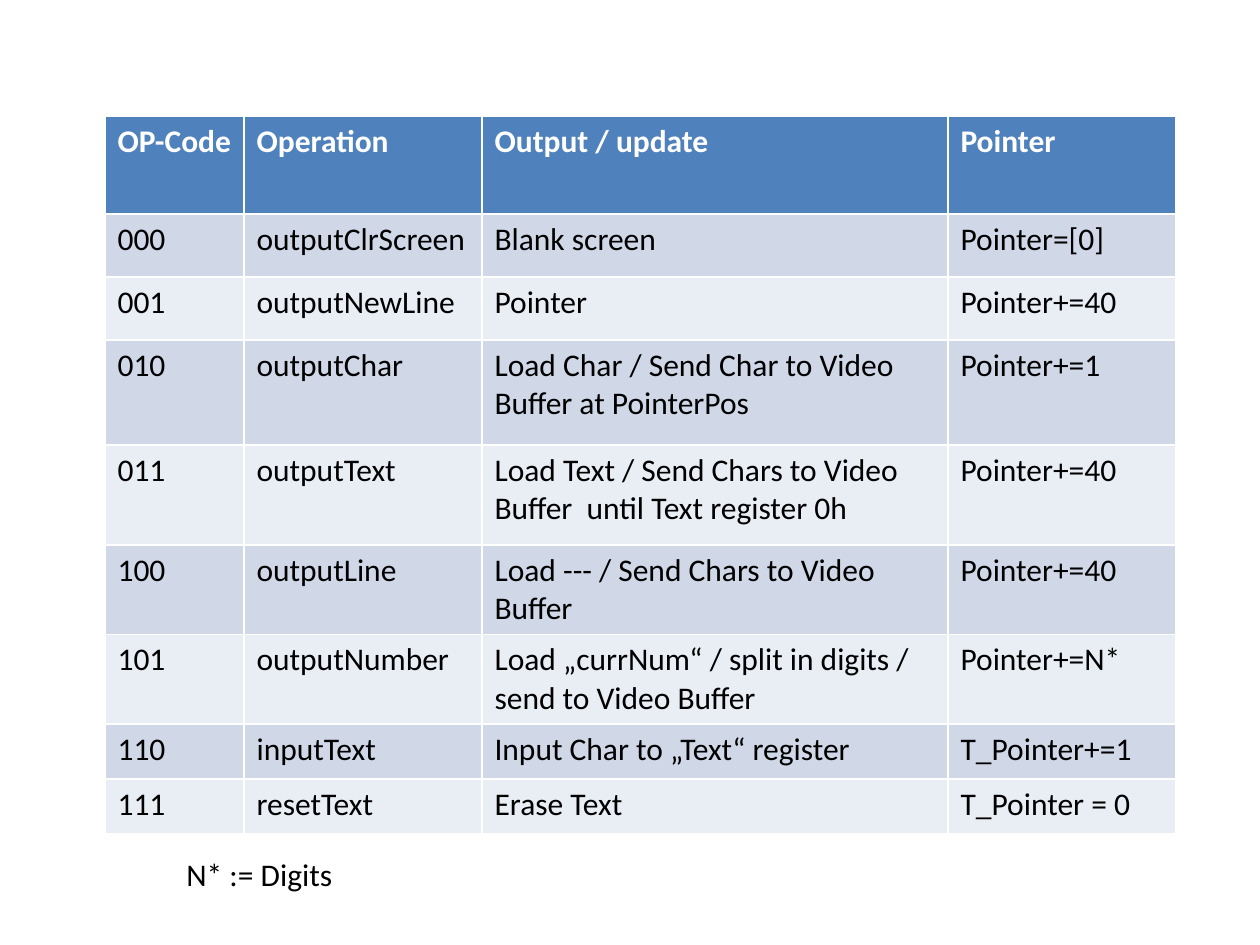
"""Build a slide with a table of output operation codes."""
from pptx import Presentation
from pptx.dml.color import RGBColor
from pptx.util import Pt

EMU_PER_PX = 914400 // 126
COLORS = {"header": "4F81BD", "odd": "D0D8E8", "even": "E9EDF4",
          "white": "FFFFFF", "text": "000000"}
COLUMN_WIDTHS = [139, 238, 466, 228]
ROW_HEIGHTS = [98, 63, 63, 105, 100, 55, 63, 55, 55]
OPERATIONS = [
    ("OP-Code", "Operation", "Output / update", "Pointer"),
    ("000", "outputClrScreen", "Blank screen", "Pointer=[0]"),
    ("001", "outputNewLine", "Pointer", "Pointer+=40"),
    ("010", "outputChar", "Load Char / Send Char to Video Buffer at PointerPos", "Pointer+=1"),
    ("011", "outputText", "Load Text / Send Chars to Video Buffer  until Text register 0h",
     "Pointer+=40"),
    ("100", "outputLine", "Load --- / Send Chars to Video Buffer", "Pointer+=40"),
    ("101", "outputNumber", "Load „currNum“ / split in digits / send to Video Buffer",
     "Pointer+=N*"),
    ("110", "inputText", "Input Char to „Text“ register", "T_Pointer+=1"),
    ("111", "resetText", "Erase Text", "T_Pointer = 0"),
]


def px(n):
    return n * EMU_PER_PX


class Deck:
    def __init__(self, slide, font="Calibri", size=18):
        self.slide, self.font, self.size = slide, font, size

    def set_text(self, tf, text, color="text", bold=False):
        p = tf.paragraphs[0]
        p.text = text
        p.font.name, p.font.size, p.font.bold = self.font, Pt(self.size), bold
        p.font.color.rgb = RGBColor.from_string(COLORS[color])

    def text(self, x, y, w, h, text):
        tf = self.slide.shapes.add_textbox(px(x), px(y), px(w), px(h)).text_frame
        tf.word_wrap = False
        self.set_text(tf, text)

    def table(self, x, y, widths, heights, data):
        table = self.slide.shapes.add_table(
            len(data), len(widths), px(x), px(y), px(sum(widths)), px(sum(heights))).table
        for column, width in zip(table.columns, widths):
            column.width = px(width)
        for i, (row, height, values) in enumerate(zip(table.rows, heights, data)):
            row.height = px(height)
            fill = "header" if i == 0 else ("even", "odd")[i % 2]
            for cell, value in zip(row.cells, values):
                cell.fill.solid()
                cell.fill.fore_color.rgb = RGBColor.from_string(COLORS[fill])
                self.set_text(cell.text_frame, value, "text" if i else "white", i == 0)


prs = Presentation()
prs.slide_width, prs.slide_height = px(1260), px(945)
deck = Deck(prs.slides.add_slide(prs.slide_layouts[6]))
deck.table(105, 116, COLUMN_WIDTHS, ROW_HEIGHTS, OPERATIONS)
deck.text(174, 849, 173, 50, "N* := Digits")
prs.save("out.pptx")
